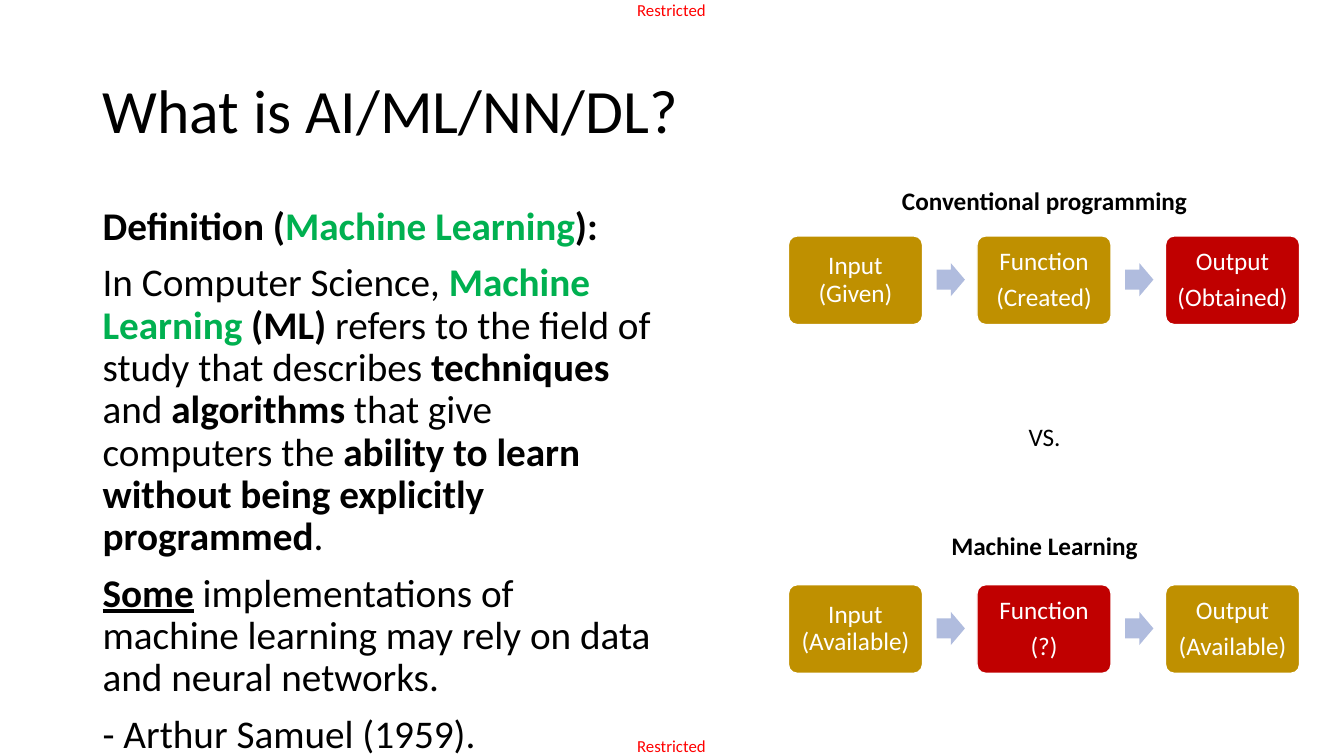
"""Build a slide comparing conventional programming with machine learning."""
from pptx import Presentation
from pptx import util as u
from pptx.dml.color import RGBColor
from pptx.enum import shapes, text

PX = 9144
COLORS = {"black": "000000", "white": "FFFFFF", "red": "FF0000", "green": "00B050",
          "gold": "BF9000", "crimson": "C00000", "arrow": "B0BCDE"}
LEFT, CENTER = text.PP_ALIGN.LEFT, text.PP_ALIGN.CENTER
TOP, MIDDLE = text.MSO_ANCHOR.TOP, text.MSO_ANCHOR.MIDDLE
BOLD = {"bold": True}
GREEN = {"bold": True, "color": "green"}


def write(box, paragraphs, size, color="black", margins=(10, 5), anchor=TOP, **para_format):
    """Fill a shape with paragraphs, each a list of (text, format) spans."""
    frame = box.text_frame
    frame.word_wrap = True
    frame.vertical_anchor = anchor
    frame.margin_left = frame.margin_right = margins[0] * PX
    frame.margin_top = frame.margin_bottom = margins[1] * PX
    for index, spans in enumerate(paragraphs):
        para = frame.add_paragraph() if index else frame.paragraphs[0]
        for name, value in para_format.items():
            if index or name != "space_before":
                setattr(para, name, value)
        for words, span_format in spans:
            span = para.add_run()
            span.text = words
            values = {"name": "Calibri", "size": u.Pt(size), **span_format}
            span.font.color.rgb = RGBColor.from_string(COLORS[values.pop("color", color)])
            for name, value in values.items():
                setattr(span.font, name, value)


def draw(kind, place, fill, adjustments):
    """Add a filled preset shape without outline or shadow."""
    shape = page.shapes.add_shape(kind, *(length * PX for length in place))
    shape.shadow.inherit = False
    shape.fill.solid()
    shape.fill.fore_color.rgb = RGBColor.from_string(COLORS[fill])
    shape.line.fill.background()
    for index, value in enumerate(adjustments):
        shape.adjustments[index] = value
    return shape


deck = Presentation()
deck.slide_width, deck.slide_height = 1333 * PX, 750 * PX
page = deck.slides.add_slide(deck.slide_layouts[6])

definition = [
    [("Definition (", BOLD), ("Machine Learning", GREEN), ("):", BOLD)],
    [("In Computer Science, ", {}), ("Machine Learning ", GREEN), ("(ML)", BOLD),
     (" refers to the field of study that describes ", {}), ("techniques", BOLD),
     (" and ", {}), ("algorithms", BOLD), (" that give computers the ", {}),
     ("ability to learn without being explicitly programmed", BOLD), (".", {})],
    [("Some", {"bold": True, "underline": True}),
     (" implementations of machine learning may rely on data and neural networks.", {})],
    [("- Arthur Samuel (1959).", {})],
]
mark = {"size": 12, "color": "red", "margins": (0, 0), "alignment": LEFT}
label = {"size": 18, "alignment": CENTER}
texts = [
    ((632, 0, 73, 20), [[("Restricted", {})]], mark),
    ((632, 730, 73, 20), [[("Restricted", {})]], mark),
    ((92, 40, 1150, 145), [[("What is AI/ML/NN/DL?", {})]],
     {"size": 44, "anchor": MIDDLE, "line_spacing": 0.9}),
    ((92, 200, 567, 564), definition,
     {"size": 28, "line_spacing": 0.9, "space_before": u.Pt(10)}),
    ((782, 179, 508, 40), [[("Conventional programming", BOLD)]], label),
    ((782, 521, 508, 40), [[("Machine Learning", BOLD)]], label),
    ((969, 413, 134, 40), [[("VS.", {})]], label),
]
for place, paragraphs, style in texts:
    box = page.shapes.add_textbox(*(length * PX for length in place))
    write(box, paragraphs, **style)

flows = [
    (234, [(["Input (Given)"], "gold"), (["Function", "(Created)"], "gold"),
           (["Output", "(Obtained)"], "crimson")]),
    (580, [(["Input (Available)"], "gold"), (["Function", "(?)"], "crimson"),
           (["Output", "(Available)"], "gold")]),
]
for top, steps in flows:
    for column, (lines, fill) in enumerate(steps):
        left = 782 + 187 * column
        step = draw(shapes.MSO_SHAPE.ROUNDED_RECTANGLE, (left, top, 133, 88), fill, [0.1])
        step.line.color.rgb = RGBColor.from_string(COLORS["white"])
        step.line.width = u.Pt(1)
        write(step, [[(line, {})] for line in lines], 18, "white", (9, 9), MIDDLE,
              alignment=CENTER, line_spacing=0.9, space_after=u.Pt(6.3))
        if column < len(steps) - 1:
            draw(shapes.MSO_SHAPE.RIGHT_ARROW, (left + 147, top + 27, 28, 33),
                 "arrow", [0.6, 0.5])

deck.save("out.pptx")
